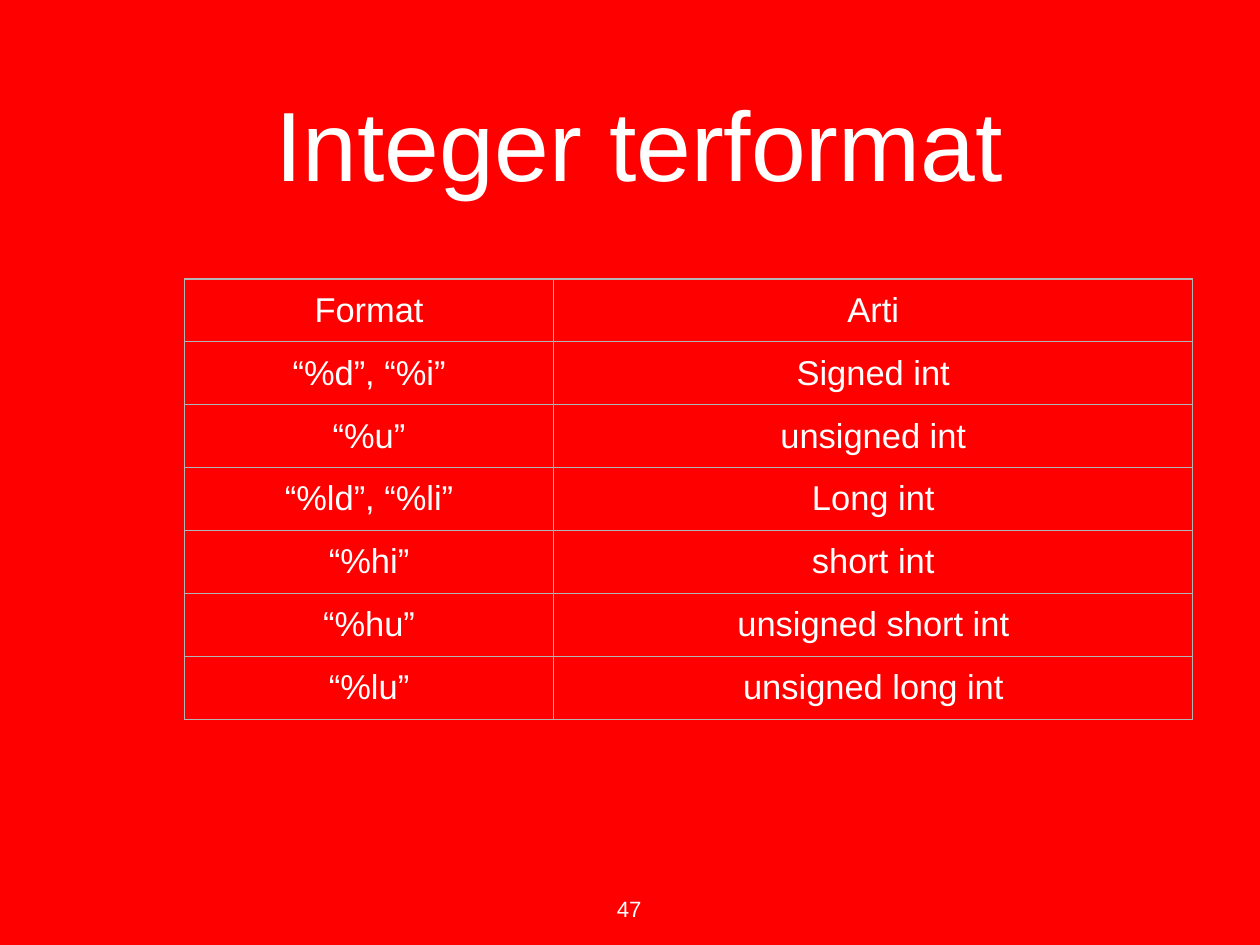
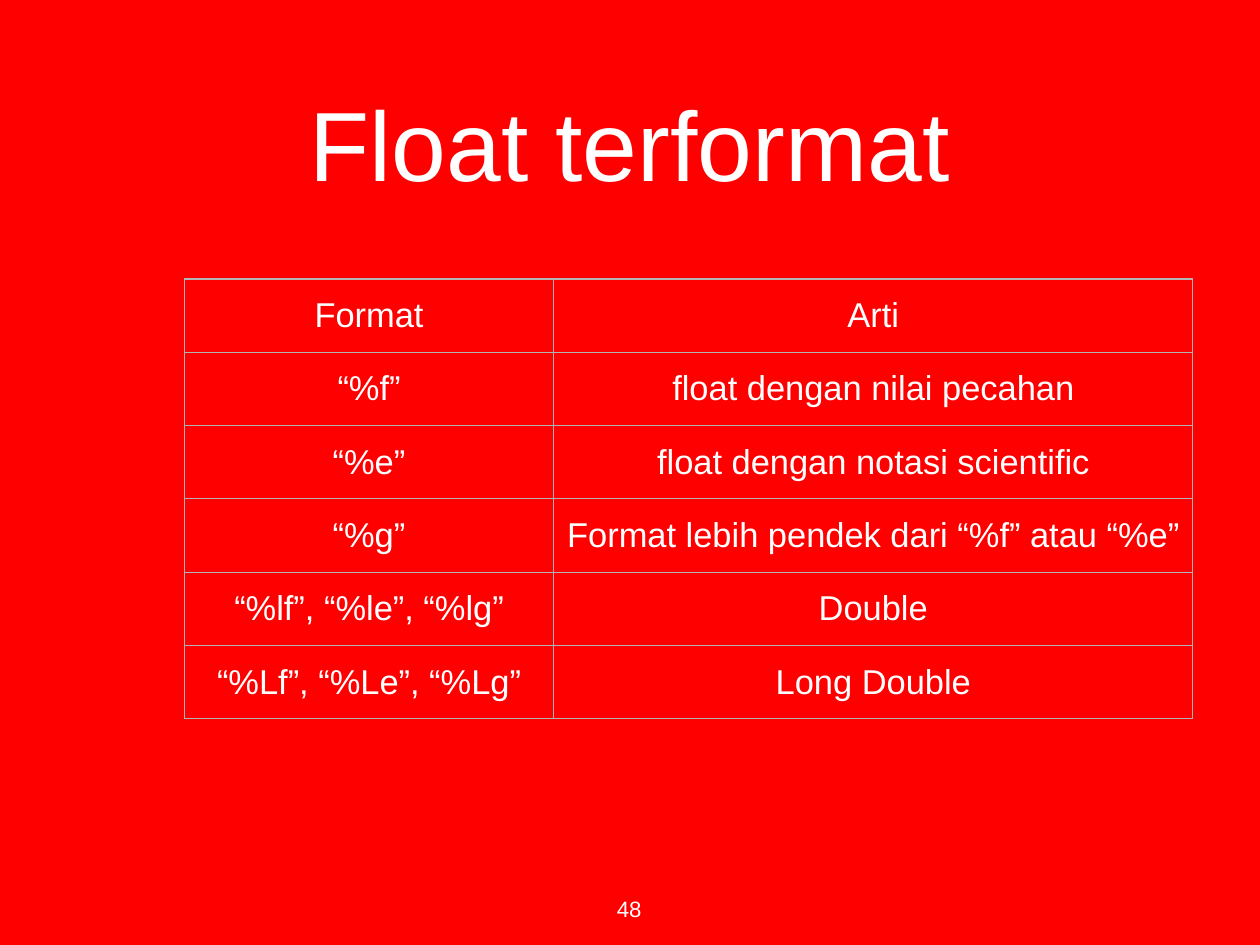
from dataclasses import dataclass

from lxml.etree import SubElement
from pptx import Presentation
from pptx.dml.color import RGBColor
from pptx.enum.text import MSO_ANCHOR as Anchor, MSO_AUTO_SIZE as AutoSize, PP_ALIGN as Align
from pptx.oxml.ns import qn
from pptx.util import Inches, Pt

# Content
HEADER = ("Format", "Arti")
SLIDES = [
    {
        "title": "Integer terformat",
        "title_at": (1.15, 0.45),
        "page": "47",
        "formats": [
            ("“%d”, “%i”", "Signed int"),
            ("“%u”", "unsigned int"),
            ("“%ld”, “%li”", "Long int"),
            ("“%hi”", "short int"),
            ("“%hu”", "unsigned short int"),
            ("“%lu”", "unsigned long int"),
        ],
    },
    {
        "title": "Float terformat",
        "title_at": (1.04, 0.44),
        "page": "48",
        "formats": [
            ("“%f”", "float dengan nilai pecahan"),
            ("“%e”", "float dengan notasi scientific"),
            ("“%g”", "Format lebih pendek dari “%f” atau “%e”"),
            ("“%lf”, “%le”, “%lg”", "Double"),
            ("“%Lf”, “%Le”, “%Lg”", "Long Double"),
        ],
    },
]


@dataclass(frozen=True)
class Theme:
    background: str = "FF0000"
    text: str = "FFFFFF"
    border: str = "B4B4B4"
    font: str = "Arial"
    title_size: int = 80
    table_size: int = 28
    page_size: int = 18
    border_width: int = 1


THEME = Theme()

# Layout, in inches
SLIDE_SIZE = (14.22, 10.67)
TITLE_SIZE = (12.14, 2.32)
TABLE_AT = (2.08, 3.15)
TABLE_HEIGHT = 4.97
COLUMN_WIDTHS = (4.17, 7.21)
CELL_MARGIN = 0.06
PAGE_BOX = (6.9, 10.11, 0.4, 0.42)


def write(frame, text, size):
    frame.text = text
    paragraph = frame.paragraphs[0]
    paragraph.alignment = Align.CENTER
    paragraph.font.name = THEME.font
    paragraph.font.size = Pt(size)
    paragraph.font.color.rgb = RGBColor.from_string(THEME.text)


def set_margins(holder, margin):
    holder.margin_left = holder.margin_right = Inches(margin)
    holder.margin_top = holder.margin_bottom = Inches(margin)


def draw_borders(cell):
    """Put the four edge lines ahead of the cell's fill, as the schema asks."""
    properties = cell._tc.get_or_add_tcPr()
    for position, edge in enumerate(("a:lnL", "a:lnR", "a:lnT", "a:lnB")):
        line = SubElement(properties, qn(edge), w=str(Pt(THEME.border_width)))
        fill = SubElement(line, qn("a:solidFill"))
        SubElement(fill, qn("a:srgbClr"), val=THEME.border)
        properties.insert(position, line)


def add_title(slide, text, corner):
    title = slide.shapes.title
    title.left, title.top = map(Inches, corner)
    title.width, title.height = map(Inches, TITLE_SIZE)
    frame = title.text_frame
    write(frame, text, THEME.title_size)
    set_margins(frame, 0)
    frame.vertical_anchor = Anchor.MIDDLE
    frame.auto_size = AutoSize.NONE
    frame.word_wrap = True


def add_format_table(slide, rows):
    box = map(Inches, (*TABLE_AT, sum(COLUMN_WIDTHS), TABLE_HEIGHT))
    table = slide.shapes.add_table(len(rows), len(HEADER), *box).table
    table.first_row = table.horz_banding = False
    for column, width in zip(table.columns, COLUMN_WIDTHS):
        column.width = Inches(width)
    for row, values in zip(table.rows, rows):
        row.height = Inches(TABLE_HEIGHT / len(rows))
        for cell, value in zip(row.cells, values):
            write(cell.text_frame, value, THEME.table_size)
            set_margins(cell, CELL_MARGIN)
            cell.vertical_anchor = Anchor.MIDDLE
            cell.fill.background()
            draw_borders(cell)


def add_page_number(slide, number):
    frame = slide.shapes.add_textbox(*map(Inches, PAGE_BOX)).text_frame
    write(frame, number, THEME.page_size)
    set_margins(frame, 0)
    frame.word_wrap = False
    frame.auto_size = AutoSize.SHAPE_TO_FIT_TEXT


def main():
    prs = Presentation()
    prs.slide_width, prs.slide_height = map(Inches, SLIDE_SIZE)

    # Shared background
    backdrop = prs.slide_master.background.fill
    backdrop.solid()
    backdrop.fore_color.rgb = RGBColor.from_string(THEME.background)

    title_only = prs.slide_layouts.get_by_name("Title Only")
    for content in SLIDES:
        slide = prs.slides.add_slide(title_only)
        add_title(slide, content["title"], content["title_at"])
        add_format_table(slide, [HEADER, *content["formats"]])
        add_page_number(slide, content["page"])

    prs.save("out.pptx")


if __name__ == "__main__":
    main()
